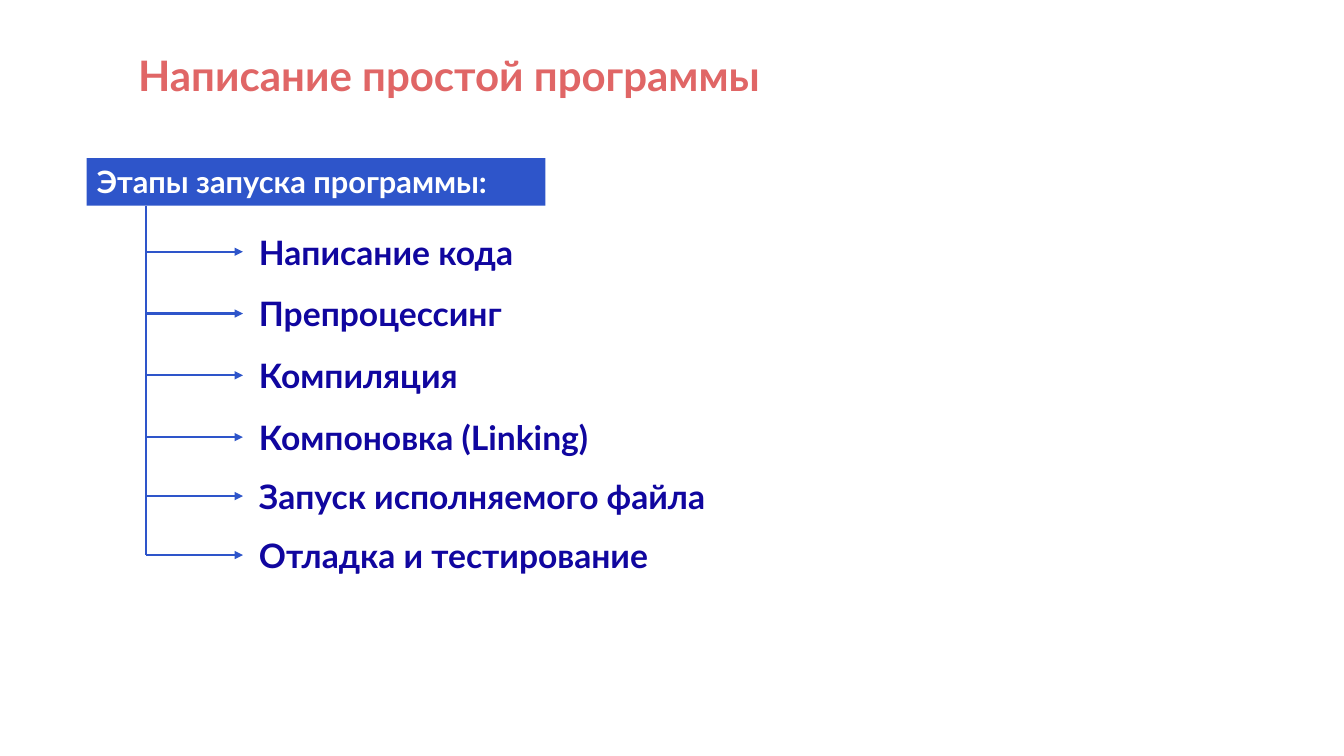
from itertools import accumulate

from lxml.etree import SubElement
from pptx import Presentation
from pptx.dml.color import RGBColor
from pptx.enum.shapes import MSO_CONNECTOR as Connector, MSO_SHAPE as Shape
from pptx.enum.text import MSO_ANCHOR as Anchor, PP_ALIGN as Align
from pptx.oxml.ns import qn
from pptx.util import Inches, Pt

FONT = "Lato"
CORAL, BLUE, NAVY, WHITE = "E06666", "2E55CA", "10069F", "FFFFFF"
MODULE = 0.1  # inches per grid column and row

STAGES = [
    "Написание кода",
    "Препроцессинг",
    "Компиляция",
    "Компоновка (Linking)",
    "Запуск исполняемого файла",
    "Отладка и тестирование",
]
FIRST_STAGE, WIDE_STEP, TIGHT_STEP = 24.98, 6.13, 5.85
TRUNK, ARROW_END, LABEL_LEFT = 14.5, 24.1, 24.7
LABEL_WIDTH, LABEL_HEIGHT = 56.2, 5
BANNER = (8.6, 15.7, 45.5, 4.7)


def color(hex_code):
    return RGBColor.from_string(hex_code)


def grid(*counts):
    """Turn counts of columns or rows into lengths."""
    return [Inches(count * MODULE) for count in counts]


def write(frame, text, *, size, fill, side_inset=0.1, anchor=Anchor.TOP):
    frame.word_wrap = True
    frame.vertical_anchor = anchor
    frame.margin_left = frame.margin_right = Inches(side_inset)
    frame.margin_top = frame.margin_bottom = Inches(0.05)
    paragraph = frame.paragraphs[0]
    paragraph.alignment = Align.LEFT
    run = paragraph.add_run()
    run.text = text
    run.font.name = FONT
    run.font.size = Pt(size)
    run.font.bold = True
    run.font.color.rgb = color(fill)


class StageSlide:
    def __init__(self, deck):
        self.slide = deck.slides.add_slide(deck.slide_layouts[6])
        self.shapes = self.slide.shapes
        self.line_color, self.line_width = BLUE, Pt(1.5)

    def label(self, text, box, **text_format):
        write(self.shapes.add_textbox(*grid(*box)).text_frame, text, **text_format)

    def banner(self, text, box, **text_format):
        bar = self.shapes.add_shape(Shape.RECTANGLE, *grid(*box))
        bar.shadow.inherit = False
        bar.fill.solid()
        bar.fill.fore_color.rgb = color(BLUE)
        bar.line.fill.background()
        write(bar.text_frame, text, **text_format)

    def line(self, start, end, arrow=False):
        link = self.shapes.add_connector(Connector.STRAIGHT, *grid(*start, *end))
        link.line.color.rgb = color(self.line_color)
        link.line.width = self.line_width
        if arrow:
            SubElement(link.line._get_or_add_ln(), qn("a:tailEnd"), type="triangle")
        SubElement(link._element.spPr, qn("a:effectLst"))


def main():
    deck = Presentation()
    deck.slide_width, deck.slide_height = Inches(13.33), Inches(7.5)
    page = StageSlide(deck)

    page.label("Написание простой программы", (13.2, 4.4, 115.8, 7.3),
               size=30, fill=CORAL, side_inset=0.05)
    page.banner("Этапы запуска программы:", BANNER, size=22, fill=WHITE)

    steps = [WIDE_STEP] * 3 + [TIGHT_STEP] * 2
    stage_rows = list(accumulate(steps, initial=FIRST_STAGE))
    banner_bottom = BANNER[1] + BANNER[3]
    page.line((TRUNK, banner_bottom), (TRUNK, stage_rows[-1]))
    for stage, row in zip(STAGES, stage_rows):
        page.label(stage, (LABEL_LEFT, row - LABEL_HEIGHT / 2, LABEL_WIDTH, LABEL_HEIGHT),
                   size=24, fill=NAVY)
        page.line((TRUNK, row), (ARROW_END, row), arrow=True)

    deck.save("out.pptx")


if __name__ == "__main__":
    main()
